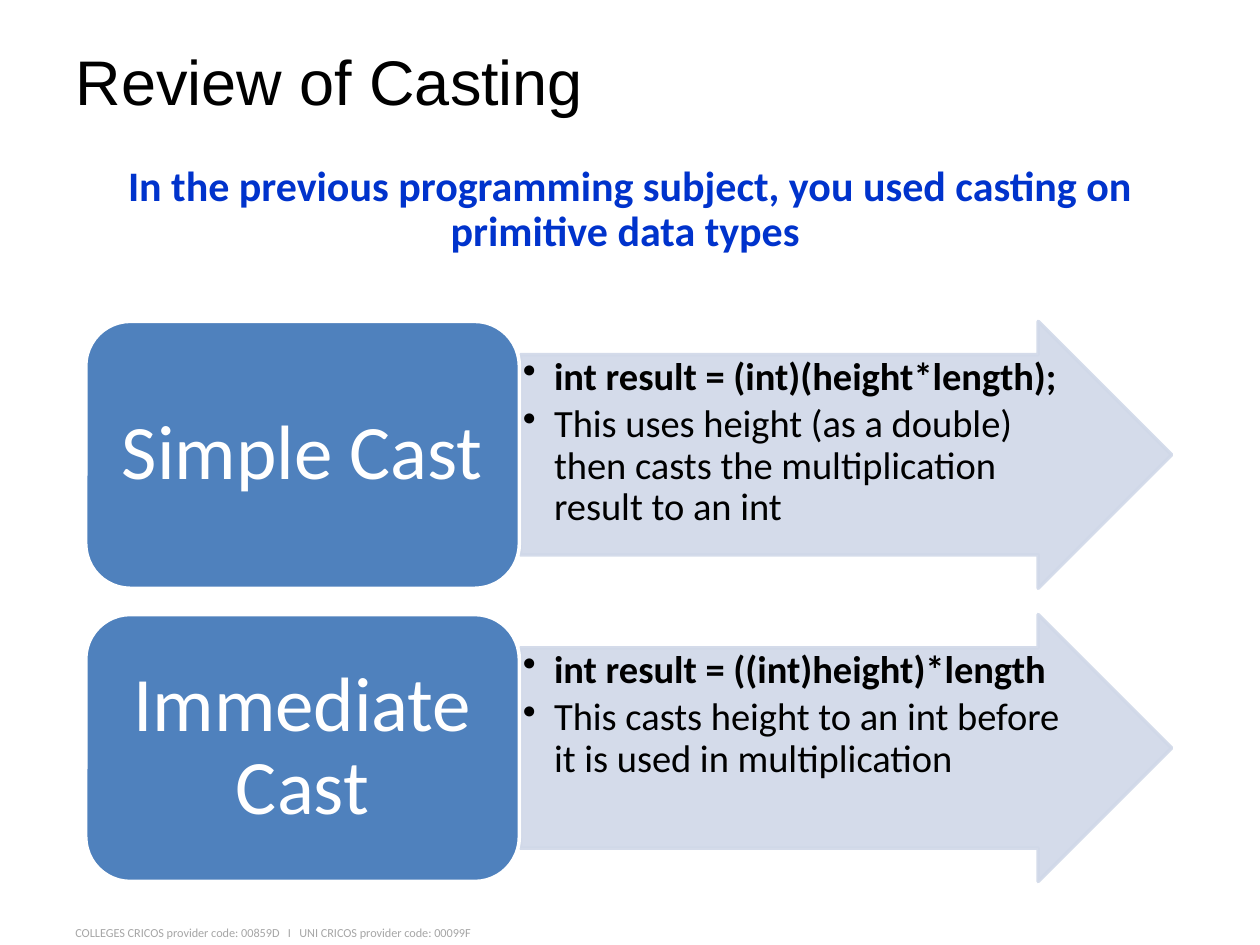
"""Build the "Review of Casting" slide with two casting examples."""
from lxml.etree import SubElement
from pptx import Presentation
from pptx.dml.color import RGBColor
from pptx.enum.shapes import MSO_SHAPE
from pptx.enum.text import MSO_ANCHOR, MSO_AUTO_SIZE, PP_ALIGN
from pptx.oxml.ns import qn
from pptx.util import Cm, Pt

TITLE = "Review of Casting"
INTRO = "In the previous programming subject, you used casting on primitive data types "
FOOTER = ["COLLEGES CRICOS provider code: 00859D", " I", " UNI CRICOS provider code: 00099F"]
CASTS = [
    ("Simple Cast", "int result = (int)(height*length);",
     "This uses height (as a double) then casts the multiplication result to an int"),
    ("Immediate Cast", "int result = ((int)height)*length",
     "This casts height to an int before it is used in multiplication"),
]
COLORS = {"text": "000000", "intro": "0033CC", "footer": "A6A6A6",
          "arrow": "D0D8E8", "box": "4F81BD", "white": "FFFFFF"}
TOP, PITCH, HEIGHT = 6.48, 5.91, 5.38
BOX_LEFT, BOX_W, ARROW_LEFT, ARROW_W = 1.73, 8.74, 10.49, 13.13


def rgb(name):
    return RGBColor.from_string(COLORS[name])


def apply(obj, **values):
    for name, value in values.items():
        setattr(obj, name, value)


def place(sp, left, top, width, height):
    apply(sp, left=Cm(left), top=Cm(top), width=Cm(width), height=Cm(height))


def add_run(p, text, size, color, font="Calibri", bold=False):
    r = p.add_run()
    r.text = text
    apply(r.font, size=Pt(size), name=font, bold=bold)
    r.font.color.rgb = rgb(color)
    return r


def set_bullet(p, indent, char=None):
    pPr = p._p.get_or_add_pPr()
    pPr.set("marL", str(Cm(indent)))
    pPr.set("indent", str(-Cm(indent)))
    if char:
        SubElement(pPr, qn("a:buChar")).set("char", char)
    else:
        SubElement(pPr, qn("a:buNone"))


def add_block(s, kind, left, top, width, fill, line, inset, anchor):
    sp = s.shapes.add_shape(kind, Cm(left), Cm(top), Cm(width), Cm(HEIGHT))
    sp.shadow.inherit = False
    sp.fill.solid()
    sp.fill.fore_color.rgb = rgb(fill)
    sp.line.color.rgb = rgb(line)
    sp.line.width = Pt(2)
    x, y = map(Cm, inset)
    apply(sp.text_frame, word_wrap=True, vertical_anchor=anchor,
          margin_left=x, margin_right=x, margin_top=y, margin_bottom=y)
    return sp


def add_cast(s, top, label, code, note):
    sp = add_block(s, MSO_SHAPE.RIGHT_ARROW, ARROW_LEFT, top, ARROW_W,
                   "arrow", "arrow", (0.05, 0.05), MSO_ANCHOR.TOP)
    sp.adjustments[0] = 0.75
    for clr in sp._element.spPr.iter(qn("a:srgbClr")):
        SubElement(clr, qn("a:alpha")).set("val", "90000")
    tf = sp.text_frame
    for p, text, bold in ((tf.paragraphs[0], code, True), (tf.add_paragraph(), note, False)):
        apply(p, level=1, alignment=PP_ALIGN.LEFT, line_spacing=0.9, space_after=Pt(3.3))
        set_bullet(p, 0.63, "•")
        add_run(p, text, 22, "text", bold=bold)

    sp = add_block(s, MSO_SHAPE.ROUNDED_RECTANGLE, BOX_LEFT, top, BOX_W,
                   "box", "white", (0.46, 0.23), MSO_ANCHOR.MIDDLE)
    p = sp.text_frame.paragraphs[0]
    apply(p, alignment=PP_ALIGN.CENTER, line_spacing=0.9, space_after=Pt(15.4))
    add_run(p, label, 44, "white")


def main():
    prs = Presentation()
    apply(prs, slide_width=Cm(25.4), slide_height=Cm(19.05))
    s = prs.slides.add_slide(prs.slide_layouts[1])

    sp = s.shapes.title
    place(sp, 1.27, 0.76, 22.86, 1.7)
    apply(sp.text_frame, vertical_anchor=MSO_ANCHOR.MIDDLE, auto_size=MSO_AUTO_SIZE.NONE)
    p = sp.text_frame.paragraphs[0]
    p.alignment = PP_ALIGN.LEFT
    add_run(p, TITLE, 36, "text", "Arial")

    sp = s.placeholders[1]
    place(sp, 1.27, 3.2, 22.86, 2.08)
    sp.text_frame.auto_size = MSO_AUTO_SIZE.NONE
    p = sp.text_frame.paragraphs[0]
    apply(p, alignment=PP_ALIGN.CENTER, line_spacing=0.9, space_before=Pt(4.8))
    set_bullet(p, 0)
    add_run(p, INTRO, 24, "intro", bold=True)

    for i, cast in enumerate(CASTS):
        add_cast(s, TOP + i * PITCH, *cast)

    sp = s.shapes.add_textbox(Cm(1.27), Cm(18.52), Cm(22.48), Cm(0.53))
    sp.text_frame.word_wrap = True
    p = sp.text_frame.paragraphs[0]
    p.space_before = Pt(1.4)
    runs = [add_run(p, text, 7, "footer") for text in FOOTER]
    runs[1].font._element.set("spc", "320")

    prs.save("out.pptx")


if __name__ == "__main__":
    main()
